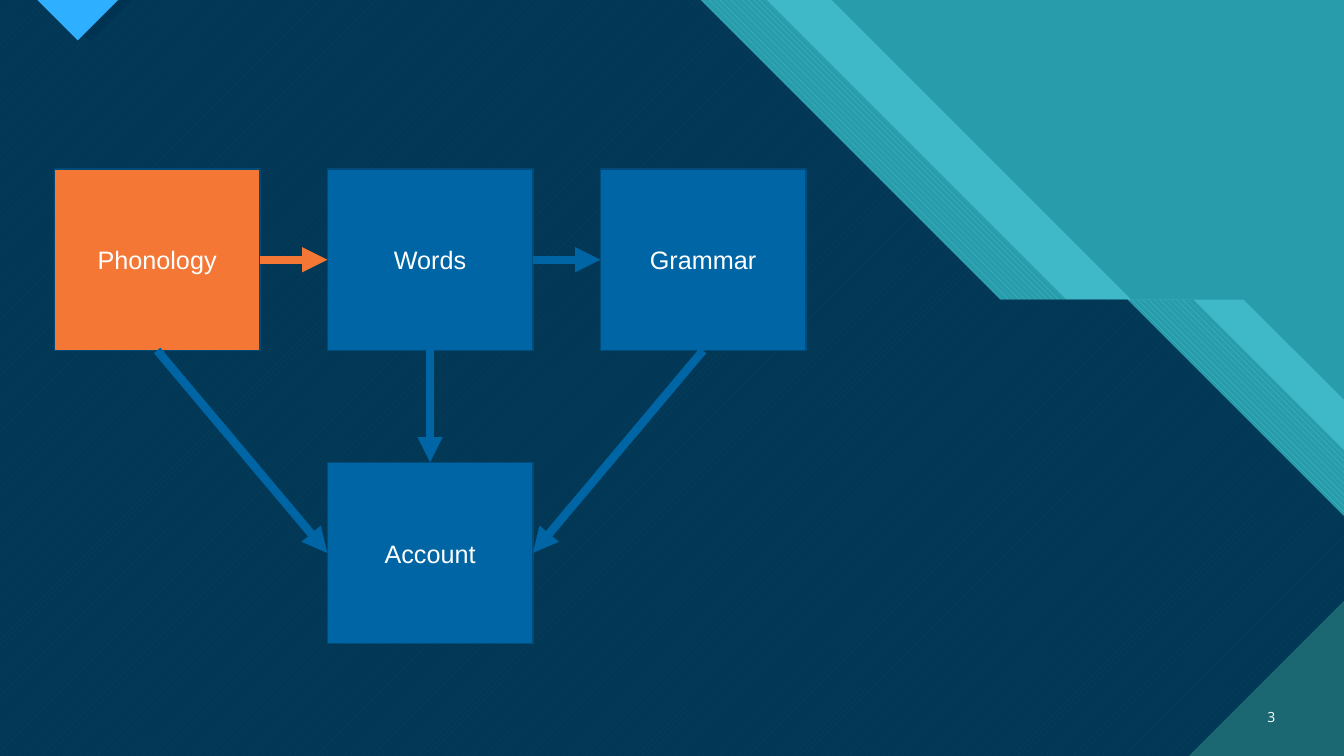
from lxml import etree
from pptx import Presentation
from pptx import util as u
from pptx.dml.color import RGBColor
from pptx.enum import dml, shapes, text
from pptx.oxml.ns import qn

COLORS = {
    "teal": "299CAB", "light_teal": "47C3D3", "deep_teal": "1B6872",
    "navy": "003352", "sky": "2FAFFF", "orange": "F47735",
    "blue": "0065A4", "border": "004B79", "white": "FFFFFF",
}
RGB = {name: RGBColor.from_string(value) for name, value in COLORS.items()}
WIDTH, HEIGHT = 33.87, 19.05

deck = Presentation()
deck.slide_width, deck.slide_height = u.Cm(WIDTH), u.Cm(HEIGHT)
page = deck.slides.add_slide(deck.slide_layouts[6])


def write(box, words, size=18, font="Arial", color="white", align=text.PP_ALIGN.CENTER):
    frame = box.text_frame
    frame.word_wrap = True
    frame.vertical_anchor = text.MSO_ANCHOR.MIDDLE
    para = frame.paragraphs[0]
    para.alignment = align
    span = para.add_run()
    span.text = words
    span.font.size = u.Pt(size)
    span.font.name = font
    span.font.color.rgb = RGB[color]


def draw_outline(points, color, opacity=100, pattern=None, back=None):
    corners = [(u.Cm(x), u.Cm(y)) for x, y in points]
    builder = page.shapes.build_freeform(*corners[0])
    builder.add_line_segments(corners[1:], close=True)
    outline = builder.convert_to_shape()
    outline.shadow.inherit = False
    outline.line.fill.background()
    if pattern:
        outline.fill.patterned()
        outline.fill.pattern = pattern
        outline.fill.fore_color.rgb = RGB[color]
        outline.fill.back_color.rgb = RGB[back]
    else:
        outline.fill.solid()
        outline.fill.fore_color.rgb = RGB[color]
    if opacity < 100:
        tint = outline._element.spPr.find(qn("a:solidFill"))[0]
        etree.SubElement(tint, qn("a:alpha"), val=str(opacity * 1000))


page.background.fill.solid()
page.background.fill.fore_color.rgb = RGB["teal"]

STEP_Y = 7.55
bands = [
    (20.96, 31.34, {"color": "light_teal", "opacity": 74}),
    (19.32, 30.07, {"color": "light_teal", "back": "teal",
                    "pattern": dml.MSO_PATTERN.WIDE_DOWNWARD_DIAGONAL}),
    (17.65, 28.41, {"color": "light_teal", "back": "deep_teal",
                    "pattern": dml.MSO_PATTERN.WIDE_UPWARD_DIAGONAL}),
    (17.65, 28.41, {"color": "navy", "opacity": 90}),
]
for top_x, knee_x, look in bands:
    draw_outline([
        (0, 0), (top_x, 0), (top_x + STEP_Y, STEP_Y), (knee_x, STEP_Y),
        (WIDTH, STEP_Y + WIDTH - knee_x), (WIDTH, HEIGHT), (0, HEIGHT),
    ], **look)

for left, depth, color in [(1.22, 1.05, "navy"), (0.94, 1.02, "sky")]:
    draw_outline([(left, 0), (left + depth, depth), (left + 2 * depth, 0)], color)

CORNER = 3.91
draw_outline([(WIDTH - CORNER, HEIGHT), (WIDTH, HEIGHT), (WIDTH, HEIGHT - CORNER)], "deep_teal")

number = page.shapes.add_textbox(u.Cm(31.27), u.Cm(17.55), u.Cm(1.12), u.Cm(1.02))
write(number, "3", size=10, font="Open Sans", align=text.PP_ALIGN.RIGHT)

LEFT, TOP, STEP_X, ROW_GAP = 1.37, 4.26, 6.88, 7.39
steps = {}
for name, column, row, color in [
    ("Phonology", 0, 0, "orange"), ("Words", 1, 0, "blue"),
    ("Grammar", 2, 0, "blue"), ("Account", 1, 1, "blue"),
]:
    box = page.shapes.add_shape(
        shapes.MSO_SHAPE.RECTANGLE, u.Cm(LEFT + column * STEP_X),
        u.Cm(TOP + row * ROW_GAP), u.Cm(5.18), u.Cm(4.57))
    box.shadow.inherit = False
    box.fill.solid()
    box.fill.fore_color.rgb = RGB[color]
    box.line.color.rgb = RGB["border"]
    box.line.width = u.Pt(1)
    write(box, name)
    steps[name] = box

TOP_SITE, LEFT_SITE, BOTTOM_SITE, RIGHT_SITE = range(4)
for source, start, target, end, color in [
    ("Phonology", RIGHT_SITE, "Words", LEFT_SITE, "orange"),
    ("Words", RIGHT_SITE, "Grammar", LEFT_SITE, "blue"),
    ("Phonology", BOTTOM_SITE, "Account", LEFT_SITE, "blue"),
    ("Words", BOTTOM_SITE, "Account", TOP_SITE, "blue"),
    ("Grammar", BOTTOM_SITE, "Account", RIGHT_SITE, "blue"),
]:
    arrow = page.shapes.add_connector(shapes.MSO_CONNECTOR.STRAIGHT, 0, 0, 0, 0)
    arrow.begin_connect(steps[source], start)
    arrow.end_connect(steps[target], end)
    arrow.line.color.rgb = RGB[color]
    arrow.line.width = u.Pt(6)
    etree.SubElement(arrow.line._get_or_add_ln(), qn("a:tailEnd"), type="triangle")
    etree.SubElement(arrow._element.spPr, qn("a:effectLst"))

deck.save("out.pptx")
